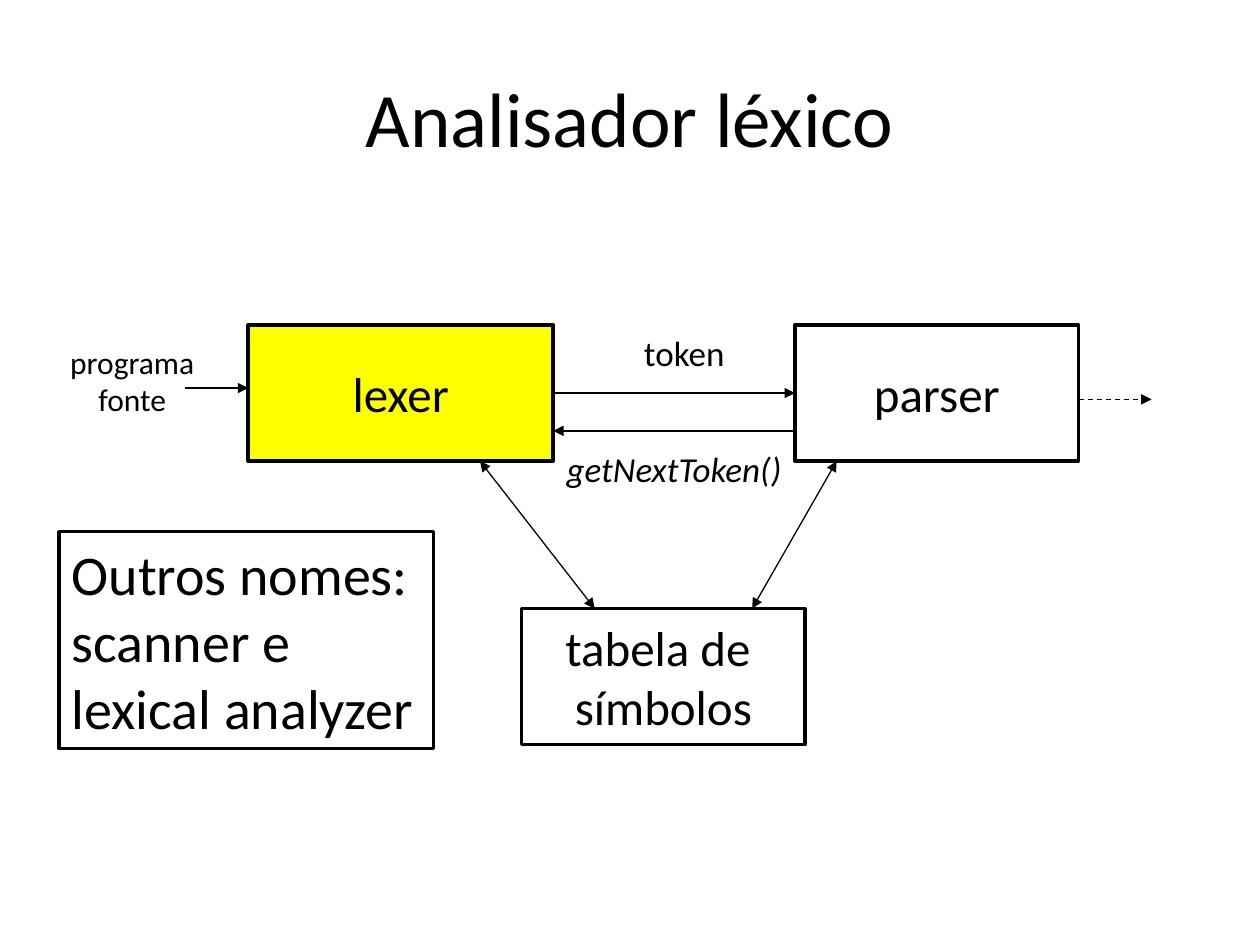
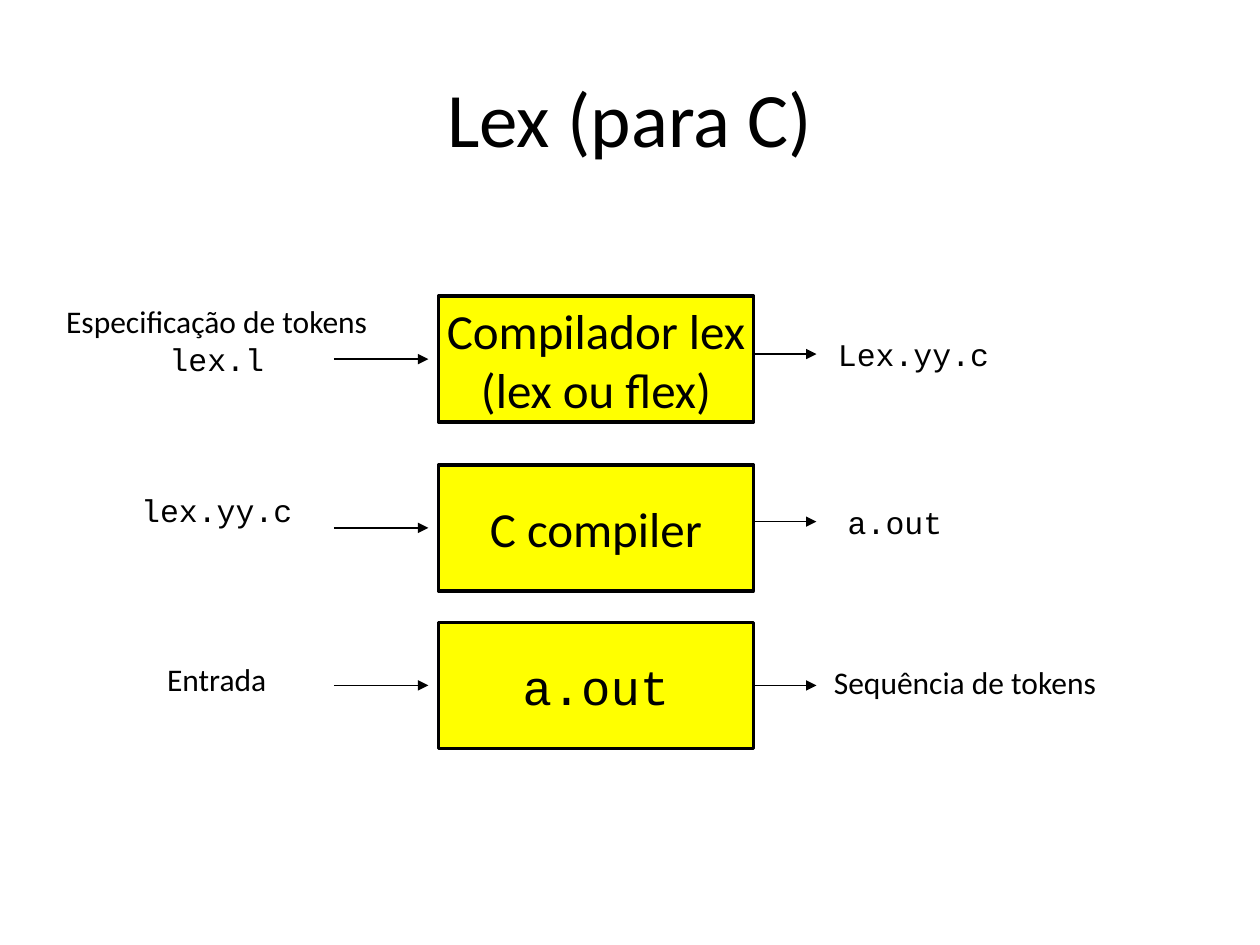
from lxml import etree
from pptx import Presentation
from pptx import util as u
from pptx.dml.color import RGBColor
from pptx.enum import dml, shapes, text
from pptx.oxml import ns

COLORS = {"ink": "000000", "paper": "FFFFFF", "highlight": "FFFF00"}
BODY_FONT, CODE_FONT = "Calibri", "Courier New"
CODE_WORDS = {"lex.l", "lex.yy.c", "Lex.yy.c", "a.out"}
CENTER, LEFT = text.PP_ALIGN.CENTER, text.PP_ALIGN.LEFT
TITLE_AREA = (0.5, 0.3, 9, 1.25)

# Slide 1: boxes are (text, fill, area); areas are left, top, width, height.
# A vertical tab is a line break inside a paragraph.
LEXER = (1.97, 2.58, 2.42, 1.08)
PARSER = (6.31, 2.58, 2.25, 1.08)
SYMBOLS = (4.14, 4.83, 2.25, 1.08)
LEXER_BOXES = [
    ("lexer", "highlight", LEXER),
    ("parser", "paper", PARSER),
    ("tabela de \vsímbolos", "paper", SYMBOLS),
]
LEXER_LABELS = [
    # text, area, size, italic, wrap
    ("getNextToken()", (4.39, 3.5, 1.92, 0.44), 20, True, True),
    ("programa\vfonte", (0.45, 2.67, 1.2, 0.71), 18, False, False),
    ("token", (4.89, 2.58, 1.08, 0.44), 20, False, True),
]
OTHER_NAMES = ("Outros nomes: scanner e lexical analyzer", (0.47, 4.22, 2.97, 1.72))

# Slide 2: one row per step of the tool chain.
STEP_BOX = {"left": 3.48, "width": 2.5, "height": 1}
INPUT_COLUMN = {"left": 0.31, "width": 2.82}
INPUT_ARROW = (2.65, 3.4)
OUTPUT_ARROW_LENGTH = 0.5
STEPS = [
    {"top": 2.35, "tool": "Compilador lex\n(lex ou flex)",
     "input": "Especificação de tokens\vlex.l", "input_top": 2.35, "input_height": 0.71,
     "output": "Lex.yy.c", "output_area": (6.25, 2.61, 2, 0.4),
     "output_align": CENTER, "output_y": 2.81},
    {"top": 3.69, "tool": "C compiler",
     "input": "lex.yy.c", "input_top": 3.85, "input_height": 0.4,
     "output": "a.out", "output_area": (6.63, 3.94, 2, 0.4),
     "output_align": LEFT, "output_y": 4.14},
    {"top": 4.94, "tool": "a.out",
     "input": "Entrada", "input_top": 5.19, "input_height": 0.51,
     "output": "Sequência de tokens", "output_area": (6.52, 5.21, 3, 0.4),
     "output_align": LEFT, "output_y": 5.44},
]


def color(name):
    """Return the named colour."""
    return RGBColor.from_string(COLORS[name])


def inches(values):
    """Convert a sequence of numbers to lengths."""
    return [u.Inches(value) for value in values]


def write(shape, content, size, align=CENTER, italic=False, wrap=True):
    """Put text in a shape, setting code words in the code font."""
    frame = shape.text_frame
    frame.text = content
    frame.word_wrap = wrap
    for paragraph in frame.paragraphs:
        paragraph.alignment = align
        for run in paragraph.runs:
            font = run.font
            font.name = CODE_FONT if run.text in CODE_WORDS else BODY_FONT
            font.size = u.Pt(size)
            font.color.rgb = color("ink")
            if italic:
                font.italic = True


def add_titled_slide(presentation, title):
    """Add a slide with the shared title style."""
    slide = presentation.slides.add_slide(presentation.slide_layouts[5])
    shape = slide.shapes.title
    shape.left, shape.top, shape.width, shape.height = inches(TITLE_AREA)
    write(shape, title, 44)
    shape.text_frame.vertical_anchor = text.MSO_ANCHOR.MIDDLE
    return slide


def add_box(slide, content, area, fill=None, size=28, align=CENTER, wrap=False):
    """Add an outlined rectangle with text, transparent if no fill is named."""
    shape = slide.shapes.add_shape(shapes.MSO_SHAPE.RECTANGLE, *inches(area))
    shape.shadow.inherit = False
    if fill:
        shape.fill.solid()
        shape.fill.fore_color.rgb = color(fill)
    else:
        shape.fill.background()
    shape.line.color.rgb = color("ink")
    shape.line.width = u.Pt(2)
    write(shape, content, size, align, wrap=wrap)
    shape.text_frame.vertical_anchor = text.MSO_ANCHOR.MIDDLE


def add_label(slide, content, area, size=18, italic=False, wrap=True, align=CENTER):
    """Add a plain text box."""
    write(slide.shapes.add_textbox(*inches(area)), content, size, align, italic, wrap)


def add_arrow(slide, start, end, both=False, dashed=False):
    """Add a thin arrow from start to end, with one or two heads."""
    connector = slide.shapes.add_connector(
        shapes.MSO_CONNECTOR.STRAIGHT, *inches(start + end))
    connector.line.color.rgb = color("ink")
    connector.line.width = u.Pt(0.75)
    if dashed:
        connector.line.dash_style = dml.MSO_LINE.DASH
    properties = connector._element.spPr
    line = properties.find(ns.qn("a:ln"))
    for tag in ("a:headEnd", "a:tailEnd") if both else ("a:tailEnd",):
        etree.SubElement(line, ns.qn(tag), type="triangle")
    etree.SubElement(properties, ns.qn("a:effectLst"))


def build_lexer_slide(presentation):
    """Show the lexer between source program, parser and symbol table."""
    slide = add_titled_slide(presentation, "Analisador léxico")
    for content, fill, area in LEXER_BOXES:
        add_box(slide, content, area, fill)
    for label in LEXER_LABELS:
        add_label(slide, *label)
    lexer_right = LEXER[0] + LEXER[2]
    parser_right = PARSER[0] + PARSER[2]
    box_bottom = LEXER[1] + LEXER[3]
    add_arrow(slide, (lexer_right, 3.12), (PARSER[0], 3.12))
    add_arrow(slide, (PARSER[0], 3.42), (lexer_right, 3.42))
    add_arrow(slide, (1.47, 3.08), (LEXER[0], 3.08))
    add_arrow(slide, (parser_right, 3.17), (9.14, 3.17), dashed=True)
    for table_x, box_x in ((4.72, 3.81), (5.97, 6.64)):
        add_arrow(slide, (table_x, SYMBOLS[1]), (box_x, box_bottom), both=True)
    add_box(slide, *OTHER_NAMES, size=32, align=LEFT, wrap=True)


def build_lex_slide(presentation):
    """Show each step as input, tool and output."""
    slide = add_titled_slide(presentation, "Lex (para C)")
    left, width, height = STEP_BOX["left"], STEP_BOX["width"], STEP_BOX["height"]
    right = left + width
    for step in STEPS:
        add_box(slide, step["tool"], (left, step["top"], width, height), "highlight")
        add_label(slide, step["input"], (INPUT_COLUMN["left"], step["input_top"],
                                         INPUT_COLUMN["width"], step["input_height"]))
        add_label(slide, step["output"], step["output_area"], align=step["output_align"])
        middle, output_y = step["top"] + height / 2, step["output_y"]
        add_arrow(slide, (INPUT_ARROW[0], middle), (INPUT_ARROW[1], middle))
        add_arrow(slide, (right, output_y), (right + OUTPUT_ARROW_LENGTH, output_y))


def main():
    """Build and save the presentation."""
    presentation = Presentation()
    presentation.slide_width, presentation.slide_height = inches((10, 7.5))
    build_lexer_slide(presentation)
    build_lex_slide(presentation)
    presentation.save("out.pptx")


main()
